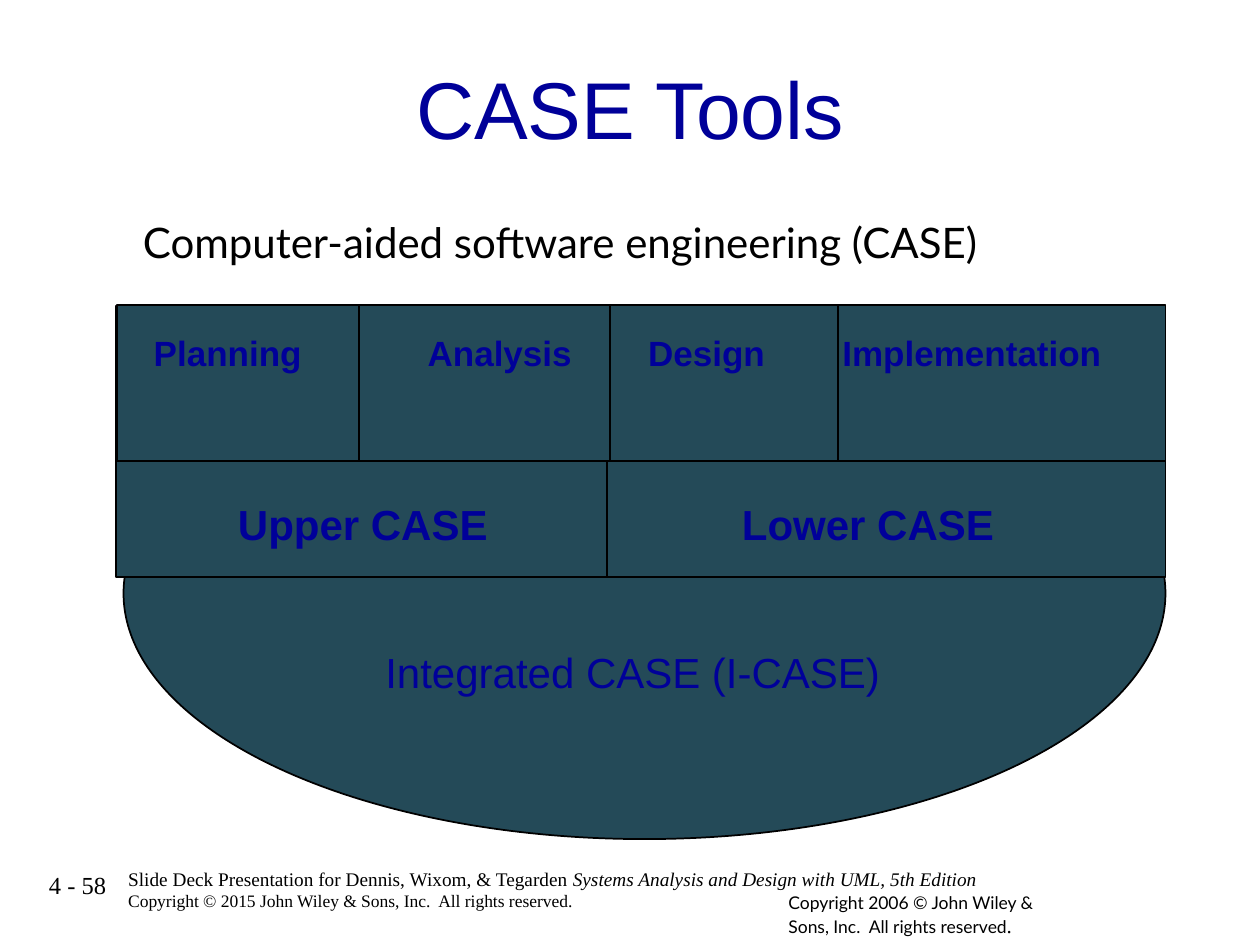
"""Build the CASE Tools slide."""
import pptx
import pptx.dml.color
import pptx.enum.shapes
import pptx.enum.text
import pptx.oxml.ns
import pptx.util
import lxml.etree

Pt = pptx.util.Pt
Kind = pptx.enum.shapes.MSO_SHAPE
Align = pptx.enum.text.PP_ALIGN
BLACK = pptx.dml.color.RGBColor(0x00, 0x00, 0x00)
NAVY = pptx.dml.color.RGBColor(0x00, 0x00, 0x99)
TEAL = pptx.dml.color.RGBColor(0x24, 0x4A, 0x58)

TITLE = {"name": "Arial", "size": Pt(46)}
HEAD = {"name": "Lato", "size": Pt(24)}
PHASE = {"name": "Arial", "size": Pt(20), "bold": True}
TOOL = {"name": "Arial", "size": Pt(24)}
LEVEL = {**TOOL, "bold": True}
PAGE = {"name": "Times New Roman", "size": Pt(14)}
BOOK = {**PAGE, "size": Pt(11)}
RIGHTS = {**PAGE, "size": Pt(10)}
NOTE = {"name": "Lato", "size": Pt(10)}
STOP = {**PAGE, "size": Pt(12)}


class Deck:
    """Hold the style and the current slide."""

    def __init__(self):
        """Start a deck with one titled slide."""
        self.prs = pptx.Presentation()
        self.prs.slide_width, self.prs.slide_height = Pt(720), Pt(540)
        self.slide = self.prs.slides.add_slide(self.prs.slide_layouts[5])

    def line(self, para, runs, color, align):
        """Fill a paragraph with formatted runs."""
        para.alignment = align
        for text, style in runs:
            run = para.add_run()
            run.text = text
            run.font.color.rgb = color
            for key, val in style.items():
                setattr(run.font, key, val)

    def title(self, text, box):
        """Place the slide title."""
        shape = self.slide.shapes.title
        shape.left, shape.top, shape.width, shape.height = map(Pt, box)
        frame = shape.text_frame
        frame.vertical_anchor = pptx.enum.text.MSO_ANCHOR.MIDDLE
        self.line(frame.paragraphs[0], [(text, TITLE)], NAVY, Align.CENTER)

    def block(self, kind, box):
        """Draw one filled and outlined shape."""
        shape = self.slide.shapes.add_shape(kind, *map(Pt, box))
        shape.shadow.inherit = False
        shape.fill.solid()
        shape.fill.fore_color.rgb = TEAL
        shape.line.color.rgb = BLACK
        shape.line.width = Pt(1)

    def text(self, box, lines, color=NAVY, align=Align.LEFT, tabs=()):
        """Add a text box with one list of runs per line."""
        frame = self.slide.shapes.add_textbox(*map(Pt, box)).text_frame
        frame.word_wrap = True
        for num, runs in enumerate(lines):
            para = frame.add_paragraph() if num else frame.paragraphs[0]
            if tabs:
                self.tabs(para, tabs)
            self.line(para, runs, color, align)

    def tabs(self, para, stops):
        """Set left tab stops on a paragraph."""
        name = pptx.oxml.ns.qn
        props = para._p.get_or_add_pPr()
        group = lxml.etree.SubElement(props, name("a:tabLst"))
        for stop in stops:
            lxml.etree.SubElement(group, name("a:tab"), pos=str(Pt(stop)), algn="l")


def main():
    """Draw the slide and save it."""
    deck = Deck()
    deck.text((66.2, 491.8, 548, 32.4), [
        [("Slide Deck Presentation for Dennis, Wixom, & Tegarden ", BOOK),
         ("Systems Analysis and Design with UML, 5th Edition", {**BOOK, "italic": True})],
        [("Copyright © 2015 John Wiley & Sons, Inc.  All rights reserved.", RIGHTS)],
    ], BLACK)
    deck.text((443.5, 506, 167.8, 34), [
        [("Copyright 2006 © John Wiley & Sons, Inc.  All rights reserved", NOTE), (".", STOP)],
    ], BLACK)
    deck.text((20.9, 493.9, 380.9, 28.8), [[("4 - 58", PAGE)]], BLACK)
    deck.title("CASE Tools", (43.2, 8.6, 633.6, 105.1))

    deck.block(Kind.OVAL, (70.6, 198.7, 595.4, 280.8))
    for left, width in ((346.3, 319.7), (66.2, 280.8)):
        deck.block(Kind.RECTANGLE, (left, 175, width, 154.8))
    for left, width in ((336.2, 154.8), (478.8, 187.2), (67, 143.3), (205.2, 143.3)):
        deck.block(Kind.RECTANGLE, (left, 174.2, width, 89.3))

    phases = "\t".join(("Planning", "Analysis", "Design", "Implementation"))
    deck.text((80.8, 185.8, 573, 31), [[(phases, PHASE)]], tabs=(156.5, 282.5, 393.5))
    deck.text((128.9, 281.5, 470, 36), [[("Upper CASE\tLower CASE", LEVEL)]], tabs=(288,))
    deck.text((213.1, 365.8, 339.1, 36), [[("Integrated CASE (I-CASE)", TOOL)]])
    deck.text((72, 120.2, 496, 36), [[("Computer-aided software engineering (CASE)", HEAD)]],
              BLACK, Align.CENTER)
    deck.prs.save("out.pptx")


if __name__ == "__main__":
    main()
